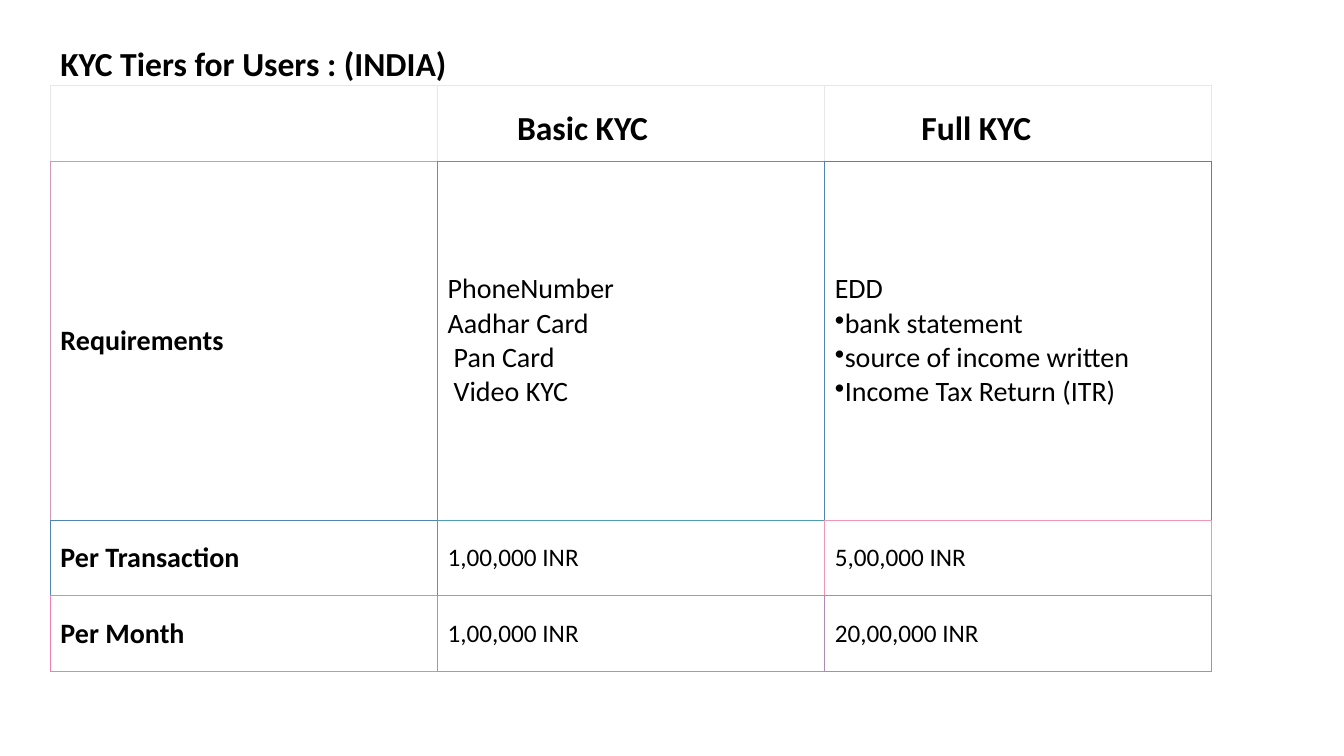
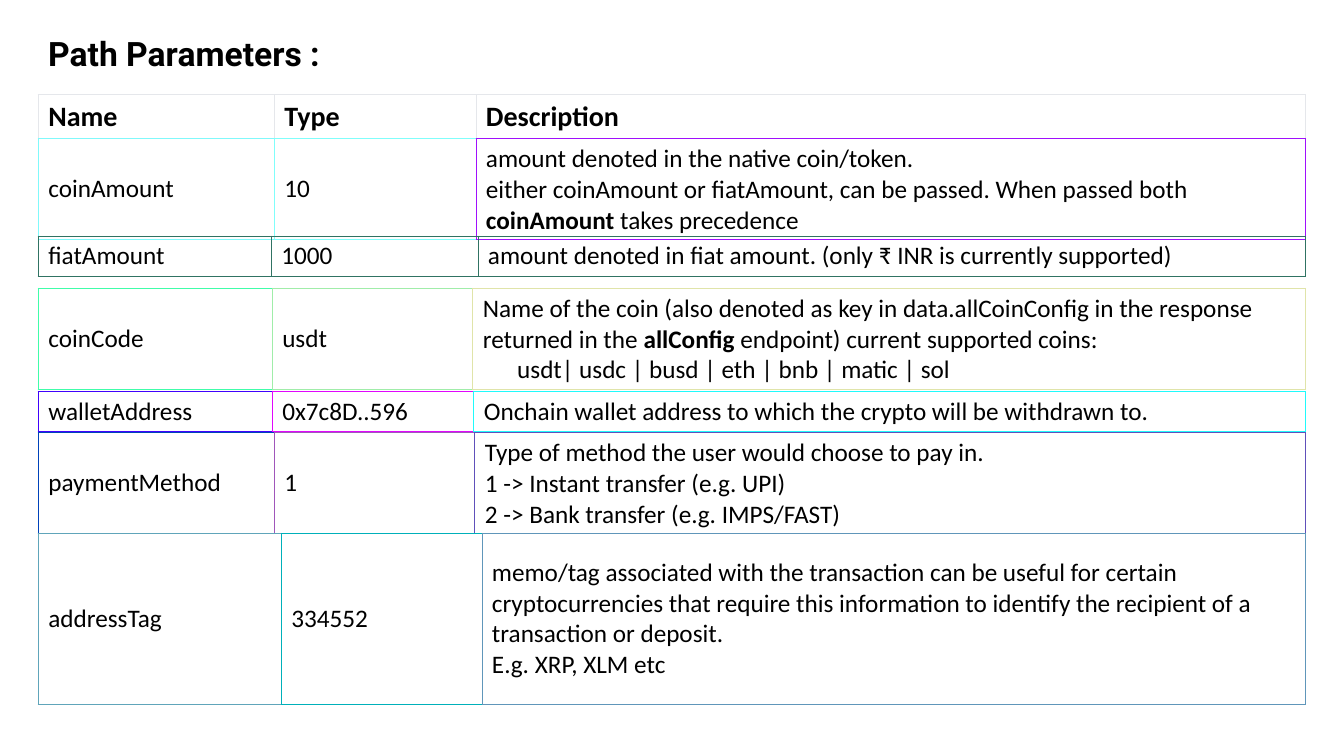
from dataclasses import dataclass

from lxml import etree
from pptx import Presentation
from pptx.dml.color import RGBColor
from pptx.enum import text as txt
from pptx.oxml import ns
from pptx.util import Emu, Pt

PX = 9144  # EMU per px, 100 px to the inch
SLIDE_W, SLIDE_H = 1333, 750
BODY_FONT = "Calibri"
TITLE_SIZE, LABEL_SIZE, TEXT_SIZE = 24, 20, 18
OUTER, INNER = 1, 0.6  # border widths in points

INK = RGBColor(0x00, 0x00, 0x00)


def edges(codes):
    """One border colour for each cell of a row."""
    return [RGBColor.from_string(code) for code in codes.split()]


HEADER = edges("E5E7EB E5E7EB E5E7EB")
REQUIREMENTS = edges("D09AB3 509DB3 5084B3")
TRANSACTION = edges("5084B3 509DB3 F098B3")
MONTH = edges("F07FB3 B092B3 B088B3")
COIN_AMOUNT = edges("80F9FB 80FEFB A010FC")
FIAT_AMOUNT = edges("307363 307363 307363")
COIN_CODE = edges("40FDA9 A0EDA9 E0E4A9")
WALLET = edges("4002FC E007FC 20FAFB")
PAYMENT = edges("0042BA A056BA 6050BA")
ADDRESS_TAG = edges("60A5BA 00B0BA 6096BA")


@dataclass
class Line:
    text: str  # parts between ** are bold
    indent: int = 0
    bullet: bool = False


@dataclass
class Cell:
    lines: list
    size: int = TEXT_SIZE
    bold: bool = False


@dataclass
class Row:
    height: int
    colors: list
    cells: list


def px(length):
    return Emu(length * PX)


# Text
def write(frame, lines, size, bold=False, font=BODY_FONT):
    for index, line in enumerate(lines):
        if isinstance(line, str):
            line = Line(line)
        para = frame.add_paragraph() if index else frame.paragraphs[0]
        para.font.name, para.font.size = font, Pt(size)
        para.font.bold = bold
        para.font.color.rgb = INK
        for part, words in enumerate(line.text.split("**")):
            span = para.add_run()
            span.text = words
            if part % 2:
                span.font.bold = True
        props = para._p.get_or_add_pPr()
        if line.indent:
            props.set("marL", str(px(line.indent)))
        if line.bullet:
            mark = etree.Element(ns.qn("a:buChar"), char="•")
            props.insert(0, mark)


def add_label(page, left, top, width, words, font=BODY_FONT, wrap=True,
              anchor=txt.MSO_ANCHOR.TOP):
    box = page.shapes.add_textbox(px(left), px(top), px(width), px(50))
    frame = box.text_frame
    frame.word_wrap = wrap
    frame.auto_size = txt.MSO_AUTO_SIZE.SHAPE_TO_FIT_TEXT
    frame.vertical_anchor = anchor
    write(frame, [words], TITLE_SIZE, True, font)


def add_title(page, left, top, width, words, font=BODY_FONT):
    add_label(page, left, top, width, words, font, anchor=txt.MSO_ANCHOR.MIDDLE)


# Tables
def set_border(cell, side, color, points):
    line = etree.SubElement(cell._tc.get_or_add_tcPr(), ns.qn("a:ln" + side),
                            w=str(Pt(points)))
    fill = etree.SubElement(line, ns.qn("a:solidFill"))
    etree.SubElement(fill, ns.qn("a:srgbClr"), val=str(color))


def set_borders(cell, rows, y, x, top_width):
    """Each cell owns its left and top edge; the others belong to neighbours."""
    own = rows[y].colors[x]
    last_x, last_y = x == len(rows[y].colors) - 1, y == len(rows) - 1
    right = own if last_x else rows[y].colors[x + 1]
    below = own if last_y else rows[y + 1].colors[x]
    header = rows[y].colors is HEADER
    under_header = y > 0 and rows[y - 1].colors is HEADER
    set_border(cell, "L", own, INNER if x else OUTER)
    set_border(cell, "R", right, OUTER if last_x else INNER)
    set_border(cell, "T", own, OUTER if header or under_header else top_width)
    set_border(cell, "B", below, OUTER if header or last_y else INNER)


def add_grid(page, left, top, widths, rows, top_width=INNER):
    height = sum(row.height for row in rows)
    table = page.shapes.add_table(len(rows), len(widths), px(left), px(top),
                                  px(sum(widths)), px(height)).table
    table.first_row = table.horz_banding = False
    for column, width in zip(table.columns, widths):
        column.width = px(width)
    for y, row in enumerate(rows):
        table.rows[y].height = px(row.height)
        for x, content in enumerate(row.cells):
            cell = table.cell(y, x)
            set_borders(cell, rows, y, x, top_width)
            cell.fill.background()
            cell.vertical_anchor = txt.MSO_ANCHOR.MIDDLE
            write(cell.text_frame, content.lines, content.size, content.bold)


def label(words):
    return Cell([words], LABEL_SIZE, True)


def plain(*lines):
    return Cell(lines)


# Slide types
def build_tiers(page, left, top):
    column, band = 384, 75
    empty = Cell([])
    rows = [
        Row(band, HEADER, [empty] * 3),
        Row(356, REQUIREMENTS, [
            label("Requirements"),
            Cell(["PhoneNumber", "Aadhar Card", Line("Pan Card", indent=6),
                  Line("Video KYC", indent=6)], LABEL_SIZE),
            Cell(["EDD", Line("bank statement", bullet=True),
                  Line("source of income written", bullet=True),
                  Line("Income Tax Return (ITR)", bullet=True)], LABEL_SIZE)]),
        Row(band, TRANSACTION, [label("Per Transaction"),
                                plain("1,00,000 INR"), plain("5,00,000 INR")]),
        Row(band, MONTH, [label("Per Month"),
                          plain("1,00,000 INR"), plain("20,00,000 INR")]),
    ]
    add_grid(page, left, top + 47, [column] * 3, rows)
    add_title(page, left, top, 1159, "KYC Tiers for Users : (INDIA)")
    add_label(page, left + 453, top + 63, 213, "Basic KYC")
    add_label(page, left + 854, top + 63, 130, "Full KYC", wrap=False)


def build_parameters(page, left, top, width):
    add_title(page, left, top, width, "Path Parameters :", "Roboto")
    header = Row(43, HEADER, [label("Name"), label("Type"), label("Description")])
    coin_amount = Row(100, COIN_AMOUNT, [
        plain("coinAmount"), plain("10"),
        plain("amount denoted in the native coin/token.",
              "either coinAmount or fiatAmount, can be passed. When passed both "
              "**coinAmount** takes precedence")])
    fiat_amount = Row(40, FIAT_AMOUNT, [
        plain("fiatAmount"), plain("1000"),
        plain("amount denoted in fiat amount. (only ₹ INR is currently supported)")])
    coin_code = Row(100, COIN_CODE, [
        plain("coinCode"), plain("usdt"),
        plain("Name of the coin (also denoted as key in data.allCoinConfig in the "
              "response returned in the **allConfig** endpoint) current supported "
              "coins:",
              Line("usdt| usdc | busd | eth | bnb | matic | sol", indent=34))])
    wallet = Row(40, WALLET, [
        plain("walletAddress"), plain("0x7c8D..596"),
        plain("Onchain wallet address to which the crypto will be withdrawn to.")])
    payment = Row(100, PAYMENT, [
        plain("paymentMethod"), plain("1"),
        plain("Type of method the user would choose to pay in.",
              "1 -> Instant transfer (e.g. UPI)",
              "2 -> Bank transfer (e.g. IMPS/FAST)")])
    address_tag = Row(170, ADDRESS_TAG, [
        plain("addressTag"), plain("334552"),
        plain("memo/tag associated with the transaction can be useful for certain "
              "cryptocurrencies that require this information to identify the "
              "recipient of a transaction or deposit.",
              "E.g. XRP, XLM etc")])

    # Offset from the title, name width, type width, rows
    grids = [
        (66, 234, 200, [header, coin_amount]),
        (206, 231, 205, [fiat_amount]),
        (258, 232, 199, [coin_code]),
        (360, 232, 200, [wallet]),
        (401, 234, 199, [payment]),
        (501, 241, 199, [address_tag]),
    ]
    for offset, name, kind, rows in grids:
        widths = [name, kind, width - name - kind]
        add_grid(page, left, top + offset, widths, rows)


def main():
    deck = Presentation()
    deck.slide_width, deck.slide_height = px(SLIDE_W), px(SLIDE_H)
    blank = deck.slide_layouts[6]
    build_tiers(deck.slides.add_slide(blank), 50, 38)
    build_parameters(deck.slides.add_slide(blank), 38, 28, 1257)
    deck.save("out.pptx")


if __name__ == "__main__":
    main()
